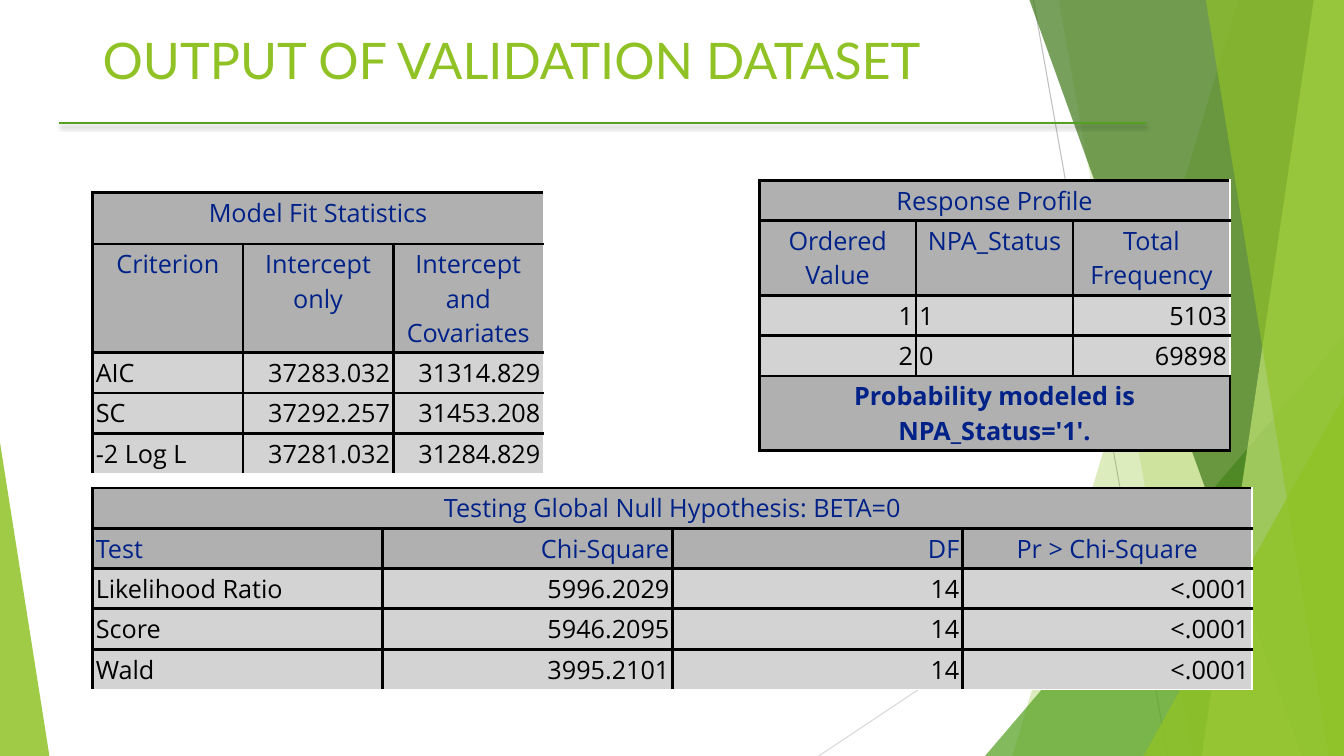
from lxml.etree import SubElement
from pptx import Presentation
from pptx.dml.color import RGBColor
from pptx.enum.shapes import MSO_CONNECTOR as Connector, MSO_SHAPE as Preset
from pptx.enum.text import MSO_ANCHOR as Anchor, PP_ALIGN as Align
from pptx.oxml import parse_xml
from pptx.oxml.ns import nsdecls, qn
from pptx.util import Inches, Pt

BLACK = RGBColor(0x00, 0x00, 0x00)
WHITE = RGBColor(0xFF, 0xFF, 0xFF)
LIME = RGBColor(0x90, 0xC2, 0x26)
PALE_LIME = RGBColor(0xC0, 0xE4, 0x74)
GREEN = RGBColor(0x54, 0xA0, 0x21)
DARK_GREEN = RGBColor(0x3F, 0x78, 0x19)
LINE_GREY = RGBColor(0xBF, 0xBF, 0xBF)
LIGHT_GREY = RGBColor(0xD9, 0xD9, 0xD9)
NAVY = RGBColor(0x00, 0x22, 0x88)
HEAD_GREY = RGBColor(0xB0, 0xB0, 0xB0)
BODY_GREY = RGBColor(0xD3, 0xD3, 0xD3)

WIDTH, HEIGHT = 13.33, 7.5
ALIGNS = {"l": Align.LEFT, "c": Align.CENTER, "r": Align.RIGHT}
HEAD = (HEAD_GREY, {"color": NAVY, "bold": False})
BODY = (BODY_GREY, {"color": BLACK, "bold": False})
NOTE = (HEAD_GREY, {"color": NAVY, "bold": True})
SHADOW = ('<a:effectLst %s><a:outerShdw blurRad="38100" dist="25400" dir="5400000">'
          '<a:srgbClr val="000000"><a:alpha val="35000"/></a:srgbClr>'
          '</a:outerShdw></a:effectLst>' % nsdecls("a"))
NO_SHADOW = "<a:effectLst %s/>" % nsdecls("a")


def add_line(page, start, end, color, width, effect=NO_SHADOW):
    """Draw a straight line between two points."""
    line = page.shapes.add_connector(
        Connector.STRAIGHT, *(Inches(value) for value in (*start, *end)))
    line.line.color.rgb = color
    line.line.width = Pt(width)
    line._element.spPr.append(parse_xml(effect))


def paint(shape, color, opacity):
    """Give a shape a see-through fill without outline or shadow."""
    shape.shadow.inherit = False
    shape.fill.solid()
    shape.fill.fore_color.rgb = color
    shape.line.fill.background()
    tint = shape._element.spPr.find(qn("a:solidFill"))[0]
    SubElement(tint, qn("a:alpha")).set("val", str(opacity * 1000))


def add_band(page, top_x, bottom_x, color, opacity):
    """Fill the slide from a slanted left edge to the right side."""
    corners = [(top_x, 0), (WIDTH, 0), (WIDTH, HEIGHT), (bottom_x, HEIGHT)]
    points = [(Inches(x), Inches(y)) for x, y in corners]
    builder = page.shapes.build_freeform(*points[0], scale=1.0)
    builder.add_line_segments(points[1:], close=True)
    paint(builder.convert_to_shape(), color, opacity)


def add_triangle(page, left, top, width, apex, color, opacity):
    """Place a triangle standing on the bottom edge of the slide."""
    shape = page.shapes.add_shape(
        Preset.ISOSCELES_TRIANGLE, Inches(left), Inches(top),
        Inches(width), Inches(HEIGHT - top))
    shape.adjustments[0] = apex
    paint(shape, color, opacity)


def add_backdrop(page):
    """Layer the green facets, from back to front."""
    add_line(page, (10.25, 0), (11.58, HEIGHT), LINE_GREY, 0.75)
    add_line(page, (WIDTH, 4.03), (8.12, HEIGHT), LIGHT_GREY, 0.75)
    add_band(page, 12.28, 10.04, LIME, 30)
    add_band(page, 10.5, 11.83, LIME, 20)
    add_triangle(page, 9.77, 3.33, 3.56, 1, GREEN, 72)
    add_band(page, 10.21, 12.91, DARK_GREEN, 70)
    add_band(page, 13.03, 11.92, PALE_LIME, 70)
    add_band(page, 11.96, 13.18, LIME, 65)
    add_triangle(page, 11.34, 3.93, 1.99, 1, LIME, 80)
    add_triangle(page, 0, 4.39, 0.49, 0, LIME, 85)


def write(frame, text, align, font):
    """Put one formatted paragraph in a text frame."""
    para = frame.paragraphs[0]
    para.alignment = align
    span = para.add_run()
    span.text = text
    for name, value in font.items():
        if name == "color":
            span.font.color.rgb = value
        else:
            setattr(span.font, name, value)


def add_title(page, left, top, width, height):
    """Place the slide title."""
    box = page.shapes.add_textbox(
        Inches(left), Inches(top), Inches(width), Inches(height))
    box.text_frame.word_wrap = True
    box.text_frame.vertical_anchor = Anchor.TOP
    write(box.text_frame, "OUTPUT OF VALIDATION DATASET", Align.LEFT,
          {"name": "Lato", "size": Pt(36), "color": LIME})


def set_borders(cell, open_right, open_bottom):
    """Rule a cell in black, with thin white lines on its open sides."""
    sides = {"L": False, "R": open_right, "T": False, "B": open_bottom}
    for index, (side, is_open) in enumerate(sides.items()):
        color, width = (WHITE, 1.13) if is_open else (BLACK, 2.25)
        cell._tc.get_or_add_tcPr().insert(index, parse_xml(
            f'<a:ln{side} {nsdecls("a")} w="{Pt(width)}"><a:solidFill>'
            f'<a:srgbClr val="{color}"/></a:solidFill></a:ln{side}>'))


def add_grid(page, left, top, width, heights, rows):
    """Build a table; a row with a single text spans every column."""
    count = max(len(texts) for texts, _, _ in rows)
    grid = page.shapes.add_table(
        len(rows), count, Inches(left), Inches(top),
        Inches(width), Inches(sum(heights))).table
    for column in grid.columns:
        column.width = Inches(width / count)
    for i, (texts, aligns, (fill, font)) in enumerate(rows):
        grid.rows[i].height = Inches(heights[i])
        is_note = font["bold"]
        for j in range(count):
            cell = grid.cell(i, j)
            for side in ("left", "right", "top", "bottom"):
                setattr(cell, f"margin_{side}", Inches(0.03))
            cell.fill.solid()
            cell.fill.fore_color.rgb = fill
            ends_row = j == count - 1 or len(texts) == 1
            set_borders(cell, ends_row and not is_note,
                        i == len(rows) - 1 and not is_note)
        if len(texts) == 1:
            grid.cell(i, 0).merge(grid.cell(i, count - 1))
        for j, (text, align) in enumerate(zip(texts, aligns)):
            write(grid.cell(i, j).text_frame, text, ALIGNS[align],
                  {"name": "Open Sans", "size": Pt(18), **font})


def add_results(page):
    """Place the three tables of model output."""
    add_grid(page, 0.92, 1.91, 4.47, [0.51, 1.08] + [0.4] * 3, [
        (["Model Fit Statistics"], "c", HEAD),
        (["Criterion", "Intercept only", "Intercept and Covariates"], "ccc", HEAD),
        (["AIC", "37283.032", "31314.829"], "lrr", BODY),
        (["SC", "37292.257", "31453.208"], "lrr", BODY),
        (["-2 Log L", "37281.032", "31284.829"], "lrr", BODY),
    ])
    add_grid(page, 0.92, 4.84, 11.5, [0.4] * 5, [
        (["Testing Global Null Hypothesis: BETA=0"], "c", HEAD),
        (["Test", "Chi-Square", "DF", "Pr > Chi-Square"], "lrrc", HEAD),
        (["Likelihood Ratio", "5996.2029", "14", "<.0001"], "lrrr", BODY),
        (["Score", "5946.2095", "14", "<.0001"], "lrrr", BODY),
        (["Wald", "3995.2101", "14", "<.0001"], "lrrr", BODY),
    ])
    add_grid(page, 7.53, 1.79, 4.67, [0.4, 0.74, 0.4, 0.4, 0.74], [
        (["Response Profile"], "c", HEAD),
        (["Ordered Value", "NPA_Status", "Total Frequency"], "ccc", HEAD),
        (["1", "1", "5103"], "rlr", BODY),
        (["2", "0", "69898"], "rlr", BODY),
        (["Probability modeled is NPA_Status='1'."], "c", NOTE),
    ])


deck = Presentation()
deck.slide_width, deck.slide_height = Inches(WIDTH), Inches(HEIGHT)
page = deck.slides.add_slide(deck.slide_layouts[6])
add_backdrop(page)
add_title(page, 0.92, 0.24, 11.5, 1.45)
add_results(page)
add_line(page, (0.59, 1.22), (11.37, 1.22), GREEN, 2, SHADOW)
deck.save("out.pptx")
